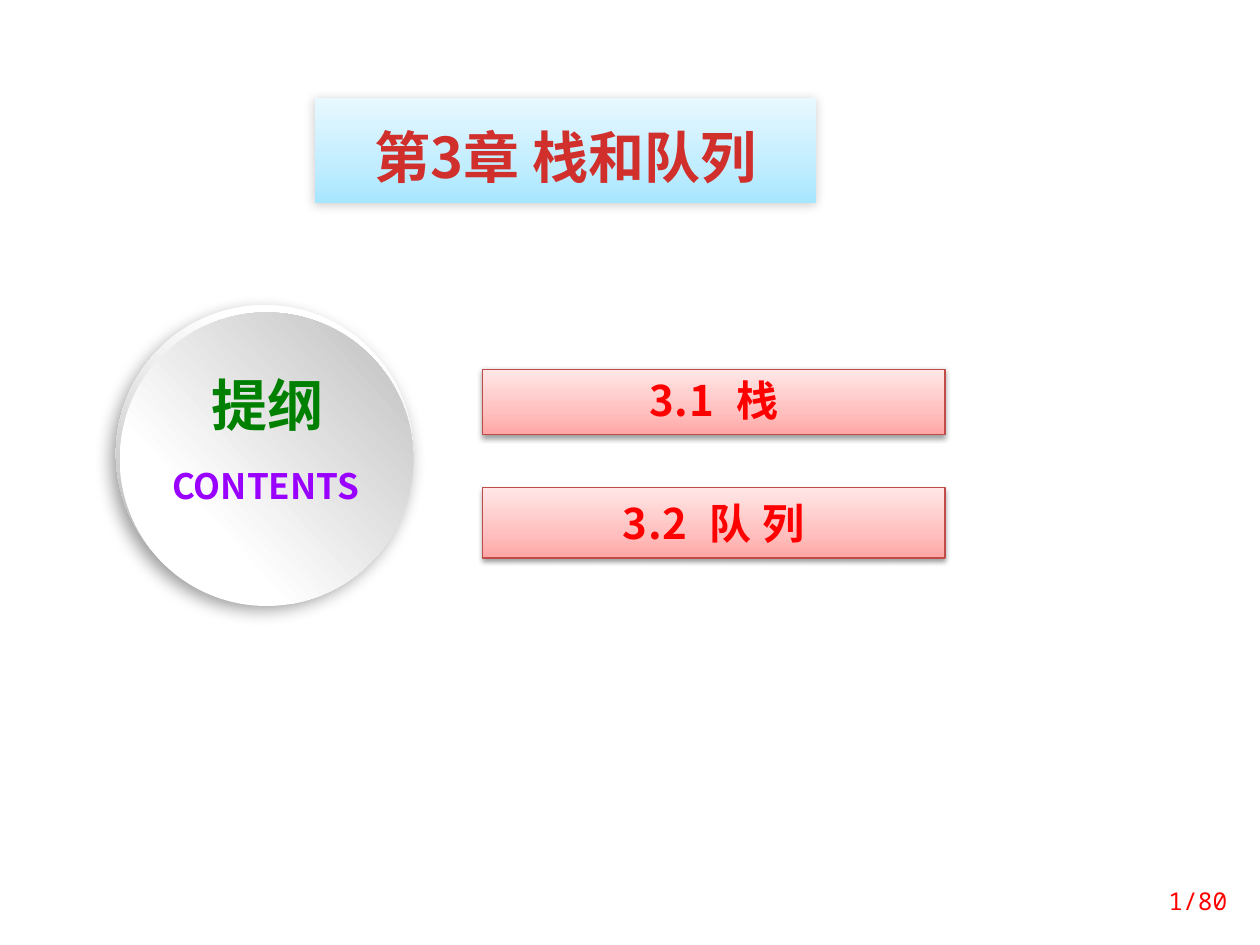
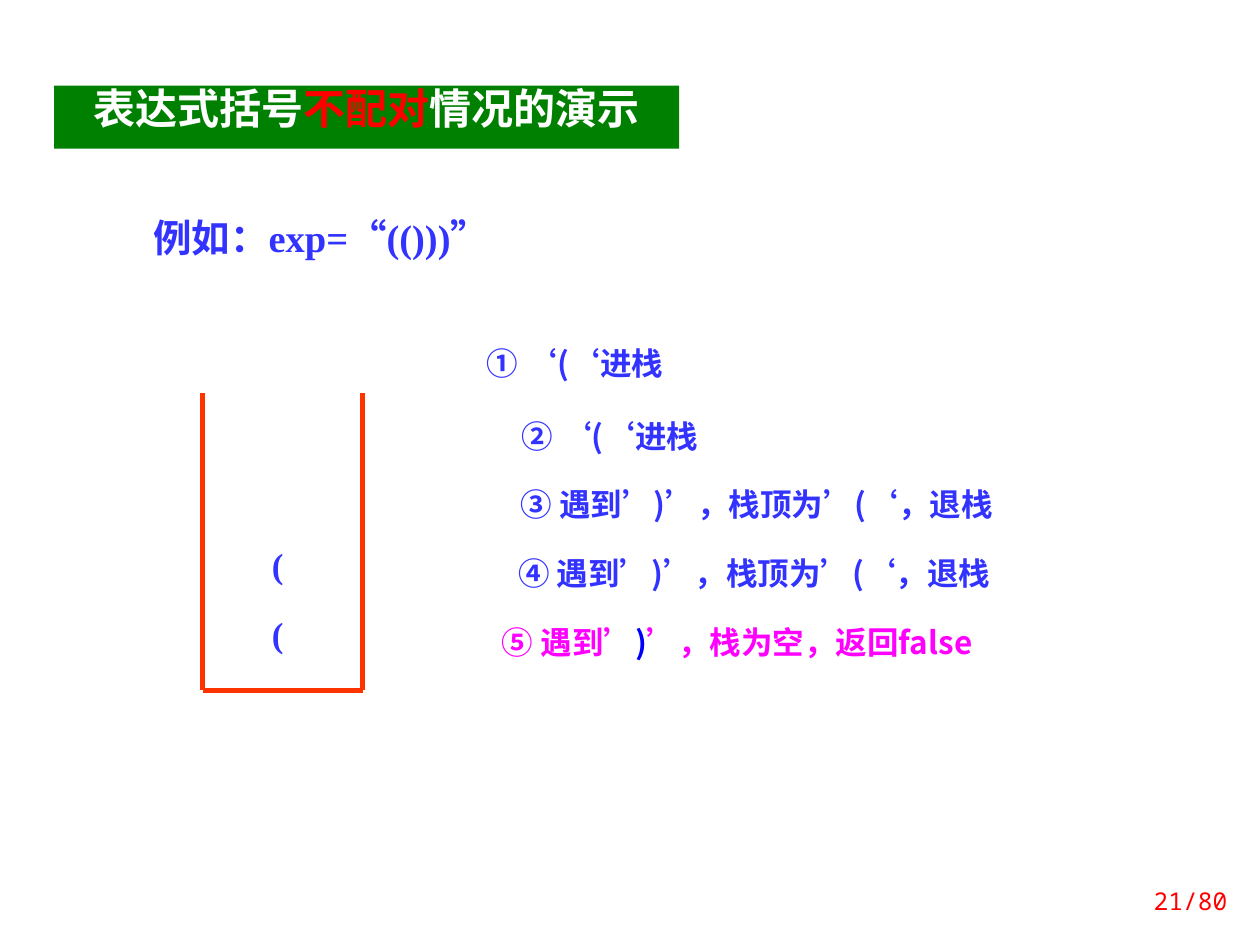
"""Build two slides on stacks and queues: a chapter outline and a bracket matching demo."""
from lxml.etree import SubElement
from pptx import Presentation
from pptx.dml.color import RGBColor
from pptx.enum.shapes import MSO_CONNECTOR, MSO_SHAPE
from pptx.enum.text import MSO_ANCHOR, MSO_AUTO_SIZE, PP_ALIGN
from pptx.oxml.ns import qn
from pptx.util import Inches, Pt

COLORS = {
    "red": "FF0000", "green": "008000", "blue": "3333FF", "deep blue": "0000FF",
    "purple": "9900FF", "magenta": "FF00FF", "white": "FFFFFF",
    "section border": "BF4C48", "stack wall": "FF3300", "shadow": "000000",
}
GRADIENTS = {
    "chapter": ([(0, "A7E6FF"), (35, "C1EDFF"), (100, "E7F8FF")], 270),
    "chapter text": ([(0, "FC7C7A"), (75, "D02F2C"), (100, "C70500")], 90),
    "section": ([(0, "FFA6A5"), (35, "FFC0BF"), (100, "FFE7E7")], 270),
    "rim": ([(17, "FFFFFF"), (88, "B8B8B8")], 107),
    "disc": ([(29, "FFFFFF"), (98, "BFBFBF")], 318),
}
SANS, TITLE_FONT = "Noto Sans CJK SC", "Noto Sans CJK JP"
MONO, SERIF = "Noto Sans Mono", "Times New Roman"
PAGE_COUNT = 80
PAGE_BOX = (8.86, 6.95, 0.98, 0.4)
INSETS = (0.1, 0.05, 0.1, 0.05)
TIGHT = 0.8

CHAPTER = "第3章 栈和队列"
CHAPTER_BOX = (2.5, 0.78, 3.98, 0.83)
SECTIONS = [
    ("3.1  栈", (3.83, 2.93, 3.67, 0.52), 0.04),
    ("3.2  队 列", (3.83, 3.87, 3.67, 0.56), 0.08),
]
DISCS = [
    ("rim", (0.92, 2.42, 2.36, 2.36), (39, 10, 5, 123)),
    ("disc", (0.95, 2.48, 2.33, 2.33), None),
]
DISC_LABELS = [
    ("CONTENTS", (1.19, 3.64, 1.84, 0.44), 20, "purple"),
    ("提纲", (1.35, 2.89, 1.54, 0.64), 32, "green"),
]

DEMO_TITLE = [("表达式括号", "white"), ("不配对", "red"), ("情况的演示", "white")]
DEMO_TITLE_BOX = (0.43, 0.68, 4.96, 0.5)
EXAMPLE = "例如：exp=“(()))”"
EXAMPLE_BOX = (0.7, 1.72, 3.7, 0.47)
STEPS = [
    ([("① ‘(‘进栈", "blue")], (3.66, 2.74, 1.81, 0.4)),
    ([("② ‘(‘进栈", "blue")], (3.66, 3.32, 2.36, 0.4)),
    ([("③ 遇到’)’，栈顶为’(‘，退栈", "blue")], (3.68, 3.86, 4.65, 0.4)),
    ([("④ 遇到’)’，栈顶为’(‘，退栈", "blue")], (3.66, 4.41, 4.65, 0.4)),
    ([("⑤ 遇到’", "magenta"), (")", "deep blue"), ("’，栈为空，返回false", "magenta")],
     (3.66, 4.95, 4.38, 0.4)),
]
STACK_LEFT, STACK_RIGHT, STACK_TOP, STACK_BOTTOM = 1.61, 2.88, 3.12, 5.48
STACK_ITEMS = [("(", 4.88), ("(", 4.33)]


def rgb(color):
    return RGBColor.from_string(COLORS[color])


def paint(fill, parent, color):
    """Fill with a named gradient or a plain colour."""
    if color not in GRADIENTS:
        fill.solid()
        fill.fore_color.rgb = rgb(color)
        return
    stops, angle = GRADIENTS[color]
    fill.background()
    blank = parent.find(qn("a:noFill"))
    gradient = SubElement(parent, qn("a:gradFill"), rotWithShape="1")
    stop_list = SubElement(gradient, qn("a:gsLst"))
    for position, value in stops:
        stop = SubElement(stop_list, qn("a:gs"), pos=str(position * 1000))
        SubElement(stop, qn("a:srgbClr"), val=value)
    SubElement(gradient, qn("a:lin"), ang=str(angle * 60000), scaled="0")
    parent.replace(blank, gradient)


def place(shape, box):
    shape.left, shape.top, shape.width, shape.height = map(Inches, box)


def style(shape, fill, border=None, shadow=None):
    """Set fill, border and shadow (opacity, blur, distance, direction)."""
    properties = shape._element.spPr
    paint(shape.fill, properties, fill)
    if border:
        shape.line.color.rgb = rgb(border)
        shape.line.width = Pt(0.75)
    else:
        shape.line.fill.background()
    shape.shadow.inherit = False
    if shadow:
        opacity, blur, distance, direction = shadow
        outer = SubElement(
            properties.find(qn("a:effectLst")), qn("a:outerShdw"),
            blurRad=str(Pt(blur)), dist=str(Pt(distance)),
            dir=str(direction * 60000), algn="ctr", rotWithShape="0")
        tint = SubElement(outer, qn("a:srgbClr"), val=COLORS["shadow"])
        SubElement(tint, qn("a:alpha"), val=str(opacity * 1000))


def write(shape, runs, size, font=SANS, bold=True, align=PP_ALIGN.CENTER, spacing=1.0,
          insets=INSETS, anchor=MSO_ANCHOR.TOP, resize=MSO_AUTO_SIZE.SHAPE_TO_FIT_TEXT,
          tracking=None):
    """Write one paragraph of (text, colour) runs."""
    frame = shape.text_frame
    frame.word_wrap = True
    frame.auto_size = resize
    frame.vertical_anchor = anchor
    (frame.margin_left, frame.margin_top,
     frame.margin_right, frame.margin_bottom) = map(Inches, insets)
    paragraph = frame.paragraphs[0]
    paragraph.alignment = align
    paragraph.line_spacing = spacing
    for text, color in runs:
        run = paragraph.add_run()
        run.text = text
        run.font.size = Pt(size)
        run.font.bold = bold
        run.font.name = font
        properties = run._r.get_or_add_rPr()
        paint(run.font.fill, properties, color)
        east_asian = SubElement(properties, qn("a:ea"))
        east_asian.set("typeface", SANS if font == SERIF else font)
        if tracking:
            properties.set("spc", str(int(tracking * 100)))


def add_text(slide, box, runs, size, **options):
    write(slide.shapes.add_textbox(*map(Inches, box)), runs, size, **options)


def add_shape(slide, kind, box, fill, **look):
    shape = slide.shapes.add_shape(kind, *map(Inches, box))
    style(shape, fill, **look)
    return shape


def add_slide(deck, page, title, box, size, fill, shadow=None, **options):
    """Add a slide with a filled title and its page number."""
    slide = deck.slides.add_slide(deck.slide_layouts[5])
    heading = slide.shapes.title
    place(heading, box)
    style(heading, fill, shadow=shadow)
    write(heading, title, size, resize=MSO_AUTO_SIZE.NONE, **options)
    add_text(slide, PAGE_BOX, [(f"{page}/{PAGE_COUNT}", "red")], 14, font=MONO, bold=False,
             align=PP_ALIGN.RIGHT, anchor=MSO_ANCHOR.MIDDLE, resize=MSO_AUTO_SIZE.NONE)
    return slide


def build_outline(deck):
    slide = add_slide(deck, 1, [(CHAPTER, "chapter text")], CHAPTER_BOX, 32, "chapter",
                      shadow=(20, 6, 1, 135), font=TITLE_FONT, insets=(0.1, 0.19, 0.1, 0))
    for name, box, top_inset in SECTIONS:
        section = add_shape(slide, MSO_SHAPE.RECTANGLE, box, "section",
                            border="section border", shadow=(38, 3.1, 1.6, 90))
        write(section, [(name, "red")], 24, insets=(0.1, top_inset, 0.1, 0.08), tracking=0.5)
    for fill, box, shadow in DISCS:
        add_shape(slide, MSO_SHAPE.OVAL, box, fill, shadow=shadow)
    for label, box, size, color in DISC_LABELS:
        add_text(slide, box, [(label, color)], size)


def build_demo(deck):
    slide = add_slide(deck, 21, DEMO_TITLE, DEMO_TITLE_BOX, 24, "green", spacing=TIGHT)
    corners = [(STACK_LEFT, STACK_TOP), (STACK_LEFT, STACK_BOTTOM),
               (STACK_RIGHT, STACK_BOTTOM), (STACK_RIGHT, STACK_TOP)]
    for start, end in zip(corners, corners[1:]):
        wall = slide.shapes.add_connector(MSO_CONNECTOR.STRAIGHT, *map(Inches, start + end))
        wall.line.color.rgb = rgb("stack wall")
        wall.line.width = Pt(3)
        SubElement(wall._element.spPr, qn("a:effectLst"))
    add_text(slide, EXAMPLE_BOX, [(EXAMPLE, "blue")], 22, font=SERIF, spacing=TIGHT)
    for item, top in STACK_ITEMS:
        add_text(slide, (1.85, top, 0.71, 0.43), [(item, "blue")], 20,
                 font=SERIF, spacing=TIGHT)
    for runs, box in STEPS:
        add_text(slide, box, runs, 18, spacing=TIGHT)


def main():
    deck = Presentation()
    deck.slide_width, deck.slide_height = Inches(10), Inches(7.5)
    build_outline(deck)
    build_demo(deck)
    deck.save("out.pptx")


if __name__ == "__main__":
    main()
